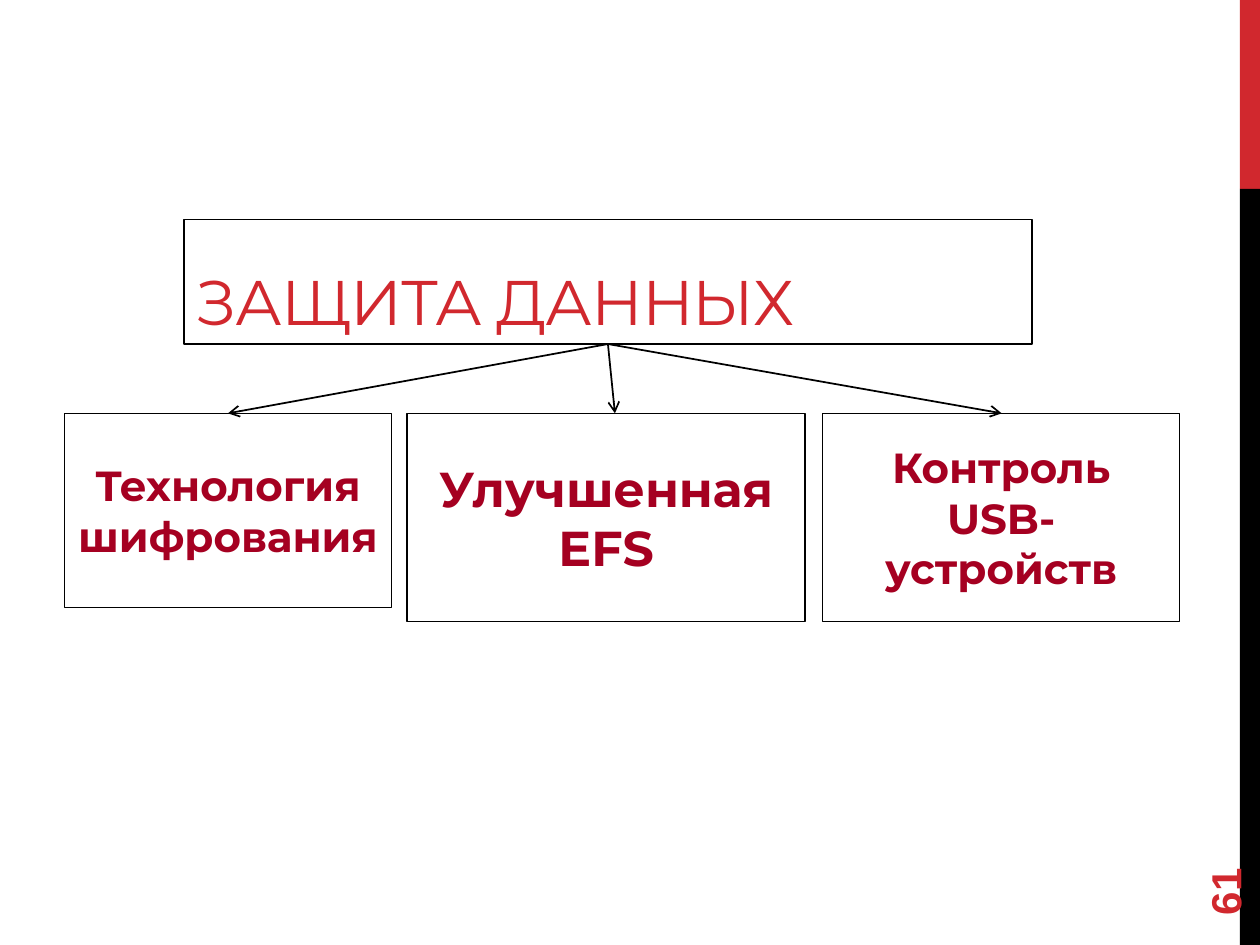
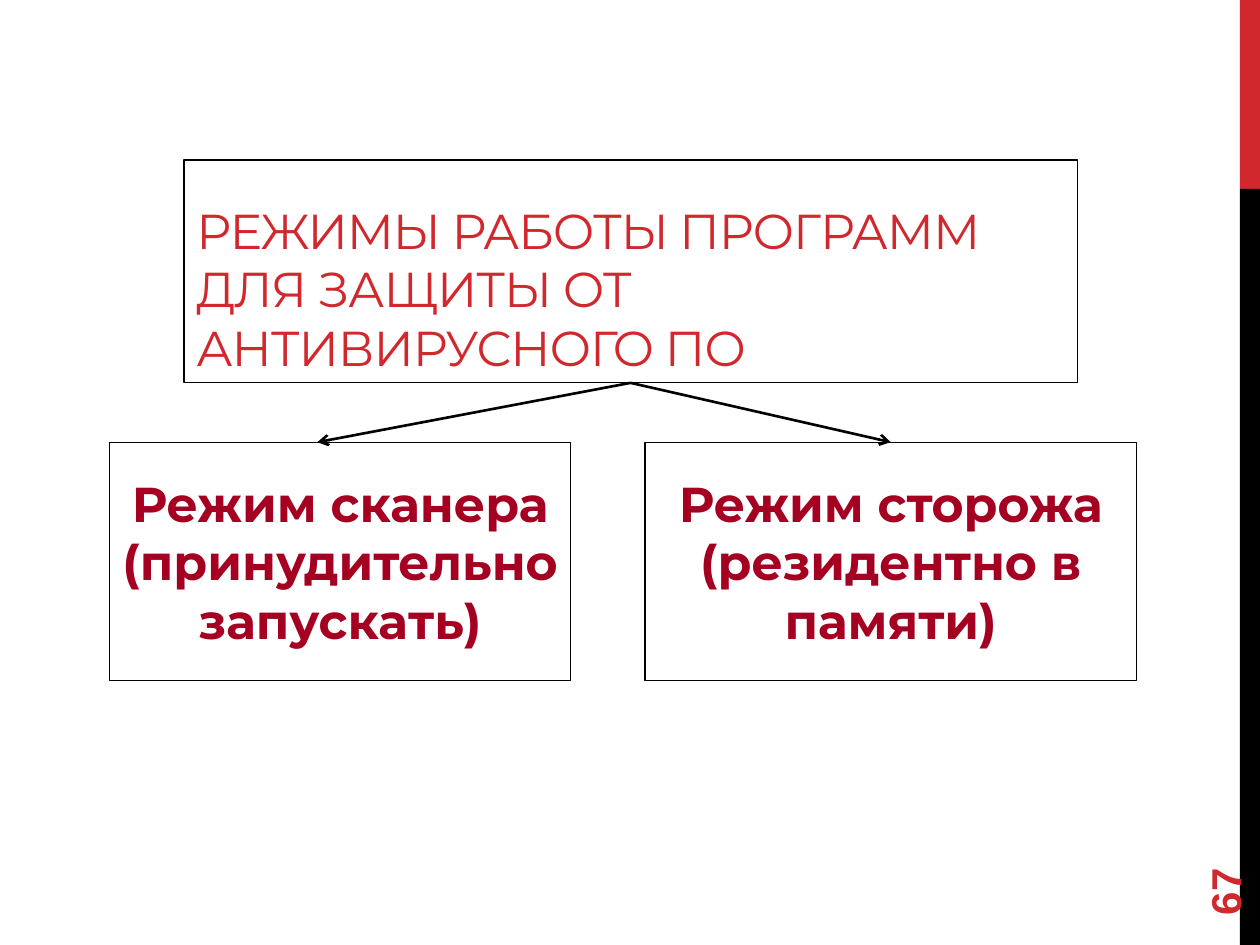
from dataclasses import dataclass

from lxml.etree import SubElement
from pptx import Presentation
from pptx.dml.color import RGBColor as RGB
from pptx.enum.shapes import MSO_CONNECTOR as CONNECTOR, MSO_SHAPE as SHAPE
from pptx.enum.text import MSO_ANCHOR as ANCHOR, PP_ALIGN as ALIGN
from pptx.oxml.ns import qn
from pptx.util import Pt


@dataclass(frozen=True)
class Theme:
    red: RGB = RGB(0xD1, 0x28, 0x2E)
    crimson: RGB = RGB(0xA5, 0x00, 0x21)
    black: RGB = RGB(0, 0, 0)
    heading_font: str = "Montserrat"
    number_font: str = "Arial"
    large: float = 36
    medium: float = 28
    small: float = 24
    border: float = 0.75
    title_spacing: str = "-60"


theme = Theme()


def add_rect(slide, left, top, width, height, fill=None):
    rect = slide.shapes.add_shape(SHAPE.RECTANGLE, Pt(left), Pt(top), Pt(width), Pt(height))
    rect.shadow.inherit = False
    if fill is None:
        rect.fill.background()
        rect.line.color.rgb = theme.black
        rect.line.width = Pt(theme.border)
    else:
        rect.fill.solid()
        rect.fill.fore_color.rgb = fill
        rect.line.fill.background()
    return rect


def write(shape, text, size, color, align, anchor, bold=True, font=theme.heading_font):
    frame = shape.text_frame
    frame.word_wrap = True
    frame.vertical_anchor = anchor
    paragraph = frame.paragraphs[0]
    paragraph.alignment = align
    paragraph.add_run().text = text
    paragraph.font.name = font
    paragraph.font.size = Pt(size)
    paragraph.font.bold = bold
    paragraph.font.color.rgb = color
    return paragraph


diagrams = [
    {
        "number": "61",
        "title": "ЗАЩИТА ДАННЫХ",
        "title_size": theme.large,
        "title_box": (105.1, 125.3, 484.6, 71.3),
        "branch_top": 236.2,
        "arrow_width": 1,
        "branches": [
            ("Технология шифрования", theme.small, 36.7, 187.2, 110.9, 130.3),
            ("Улучшенная EFS", theme.medium, 232.6, 227.5, 118.8, 351.4),
            ("Контроль USB-устройств", theme.small, 470.2, 203.8, 118.8, 572.4),
        ],
    },
    {
        "number": "67",
        "title": "РЕЖИМЫ РАБОТЫ ПРОГРАММ ДЛЯ ЗАЩИТЫ ОТ АНТИВИРУСНОГО ПО",
        "title_size": theme.medium,
        "title_box": (105.1, 91.4, 510.5, 127.4),
        "branch_top": 252.7,
        "arrow_width": 1.5,
        "branches": [
            ("Режим сканера (принудительно запускать)", theme.medium, 62.6, 263.5, 136.1, 181.4),
            ("Режим сторожа (резидентно в памяти)", theme.medium, 368.6, 280.8, 136.1, 509),
        ],
    },
]

deck = Presentation()
deck.slide_width, deck.slide_height = Pt(720), Pt(540)

for diagram in diagrams:
    slide = deck.slides.add_slide(deck.slide_layouts[6])
    add_rect(slide, 708.5, 0, 11.5, 108, theme.red)
    add_rect(slide, 708.5, 108, 11.5, 432, theme.black)

    left, top, width, height = diagram["title_box"]
    title = write(add_rect(slide, left, top, width, height), diagram["title"],
                  diagram["title_size"], theme.red, ALIGN.LEFT, ANCHOR.BOTTOM, bold=False)
    title.runs[0]._r.get_or_add_rPr().set("spc", theme.title_spacing)

    number = slide.shapes.add_textbox(Pt(648), Pt(463.7), Pt(103.7), Pt(28.8))
    number.rotation = 270
    write(number, diagram["number"], theme.small, theme.red, ALIGN.LEFT, ANCHOR.MIDDLE,
          font=theme.number_font)

    branch_top = diagram["branch_top"]
    for label, size, branch_left, branch_width, branch_height, _ in diagram["branches"]:
        branch = add_rect(slide, branch_left, branch_top, branch_width, branch_height)
        write(branch, label, size, theme.crimson, ALIGN.CENTER, ANCHOR.MIDDLE)

    for *_, arrow_x in diagram["branches"]:
        arrow = slide.shapes.add_connector(CONNECTOR.STRAIGHT, Pt(left + width / 2),
                                           Pt(top + height), Pt(arrow_x), Pt(branch_top))
        arrow.line.color.rgb = theme.black
        arrow.line.width = Pt(diagram["arrow_width"])
        SubElement(arrow.line._get_or_add_ln(), qn("a:tailEnd"), type="arrow")
        SubElement(arrow._element.spPr, qn("a:effectLst"))

deck.save("out.pptx")
